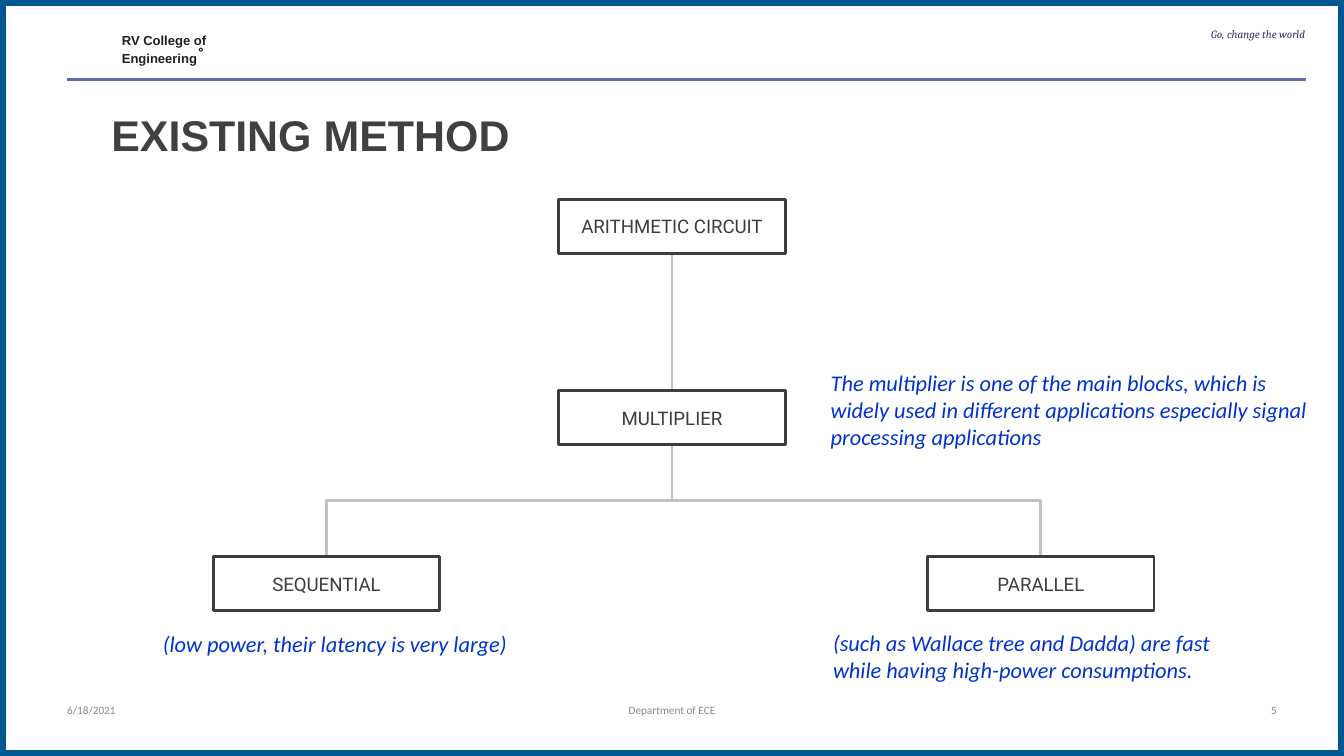
from lxml.etree import SubElement
from pptx import Presentation
from pptx.dml.color import RGBColor as RGB
from pptx.enum.shapes import MSO_CONNECTOR as LINK, MSO_SHAPE as SHAPE
from pptx.enum.text import MSO_ANCHOR as ANCHOR, PP_ALIGN as ALIGN
from pptx.oxml.ns import qn
from pptx.util import Inches, Pt

INK = {"white": "FFFFFF", "frame": "005893", "rule": "5E6DB3", "name": "231F20",
       "motto": "422C75", "foot": "898989", "dept": "888888", "wire": "C2C2C2",
       "box": "3D3D3D", "note": "0033CC", "title": "404040"}

deck = Presentation()
deck.slide_width = Inches(10)
deck.slide_height = deck.slide_width * 9 // 16
slide = deck.slides.add_slide(deck.slide_layouts[6])
shapes = slide.shapes
cell = deck.slide_width // 100  # square grid, 100 columns wide


def write(shape, words, size, font, ink, pad=0, align=ALIGN.LEFT, bold=False, italic=False):
    frame = shape.text_frame
    frame.word_wrap = True
    frame.margin_left = frame.margin_right = int(pad * cell)
    frame.margin_top = frame.margin_bottom = int(pad * cell)
    frame.text = words
    for para in frame.paragraphs:
        para.alignment = align
        for run in para.runs:
            run.font.size, run.font.name = Pt(size), font
            run.font.bold, run.font.italic = bold, italic
            run.font.color.rgb = RGB.from_string(INK[ink])
    return frame


def link(kind, x1, y1, x2, y2, ink, width):
    ends = [int(n * cell) for n in (x1, y1, x2, y2)]
    line = shapes.add_connector(kind, *ends)
    line.line.color.rgb = RGB.from_string(INK[ink])
    line.line.width = Pt(width)
    SubElement(line._element.spPr, qn("a:effectLst"))
    return line


# Page frame, header rule and the ring beside the name
page = shapes.add_shape(SHAPE.RECTANGLE, 0, 0, deck.slide_width, deck.slide_height)
page.shadow.inherit = False
page.fill.solid()
page.fill.fore_color.rgb = RGB.from_string(INK["white"])
page.line.color.rgb = RGB.from_string(INK["frame"])
page.line.width = Pt(6)
link(LINK.STRAIGHT, 5, 5.92, 97.2, 5.92, "rule", 1.25)
ring = shapes.add_shape(SHAPE.DONUT, *[int(n * cell) for n in (14.8, 3.55, 0.3, 0.3)])
ring.shadow.inherit = False
ring.fill.solid()
ring.fill.fore_color.rgb = RGB.from_string(INK["name"])
ring.line.fill.background()

# Header and footer
small = [
    (9.07, 2.3, 6.8, 2.4, "RV College of\nEngineering", 7, "Arial", "name", ALIGN.LEFT, True, False),
    (78.8, 2, 18.3, 2.3, "Go, change the world", 6, "Cambria", "motto", ALIGN.RIGHT, False, True),
    (5, 52.35, 23, 1.4, "6/18/2021", 6, "Calibri", "foot", ALIGN.LEFT, False, False),
    (34, 52.35, 32, 2.8, "Department of ECE", 6, "Calibri", "dept", ALIGN.CENTER, False, False),
    (72, 52.35, 23, 2.8, "5", 6, "Calibri", "foot", ALIGN.RIGHT, False, False),
]
for x, y, w, h, words, size, font, ink, align, bold, italic in small:
    spot = shapes.add_textbox(*[int(n * cell) for n in (x, y, w, h)])
    frame = write(spot, words, size, font, ink, 0, align, bold, italic)
    if "\n" in words:
        for para in frame.paragraphs:
            para.line_spacing = 1.12

# Tree: centre column and top row of each box
wide, high = 16.85, 4.05
tree = {"ARITHMETIC CIRCUIT": (50, 14.82), "MULTIPLIER": (50, 29.05),
        "PARALLEL": (77.45, 41.4), "SEQUENTIAL": (24.3, 41.4)}
pairs = [("ARITHMETIC CIRCUIT", "MULTIPLIER"), ("MULTIPLIER", "PARALLEL"),
         ("MULTIPLIER", "SEQUENTIAL")]
for top, low in pairs:
    (x1, y1), (x2, y2) = tree[top], tree[low]
    y1 += high
    midx, midy = (x1 + x2) / 2, (y1 + y2) / 2
    run, drop = (x2 - x1) / 2, (y2 - y1) / 2
    # Laid on its side, then turned a quarter so that it leaves downwards
    wire = link(LINK.ELBOW, midx - drop, midy + run, midx + drop, midy - run, "wire", 1.5)
    wire._element.spPr.find(qn("a:xfrm")).set("rot", "5400000")

for words, (x, y) in tree.items():
    place = [int(n * cell) for n in (x - wide / 2, y, wide, high)]
    box = shapes.add_shape(SHAPE.RECTANGLE, *place)
    box.shadow.inherit = False
    box.fill.background()
    box.line.color.rgb = RGB.from_string(INK["box"])
    box.line.width = Pt(1.5)
    frame = write(box, words, 10, "Roboto", "box", 1, ALIGN.CENTER)
    frame.vertical_anchor = ANCHOR.MIDDLE

# Heading and notes
head = shapes.add_textbox(*[int(n * cell) for n in (7.3, 7.1, 51.1, 5.9)])
write(head, "EXISTING METHOD", 23, "Arial", "title", 1, bold=True)
notes = [
    (11.13, 45.9, 32, 4, "(low power, their latency is very large)"),
    (61, 45.83, 32, 6.1, "(such as Wallace tree and Dadda) are fast while having "
                         "high-power consumptions."),
    (60.82, 26.5, 37.8, 8.1, "The multiplier is one of the main blocks, which is widely used in "
                             "different applications especially signal processing applications"),
]
for x, y, w, h, words in notes:
    note = shapes.add_textbox(*[int(n * cell) for n in (x, y, w, h)])
    write(note, words, 12, "Calibri", "note", 1, italic=True)

deck.save("out.pptx")
